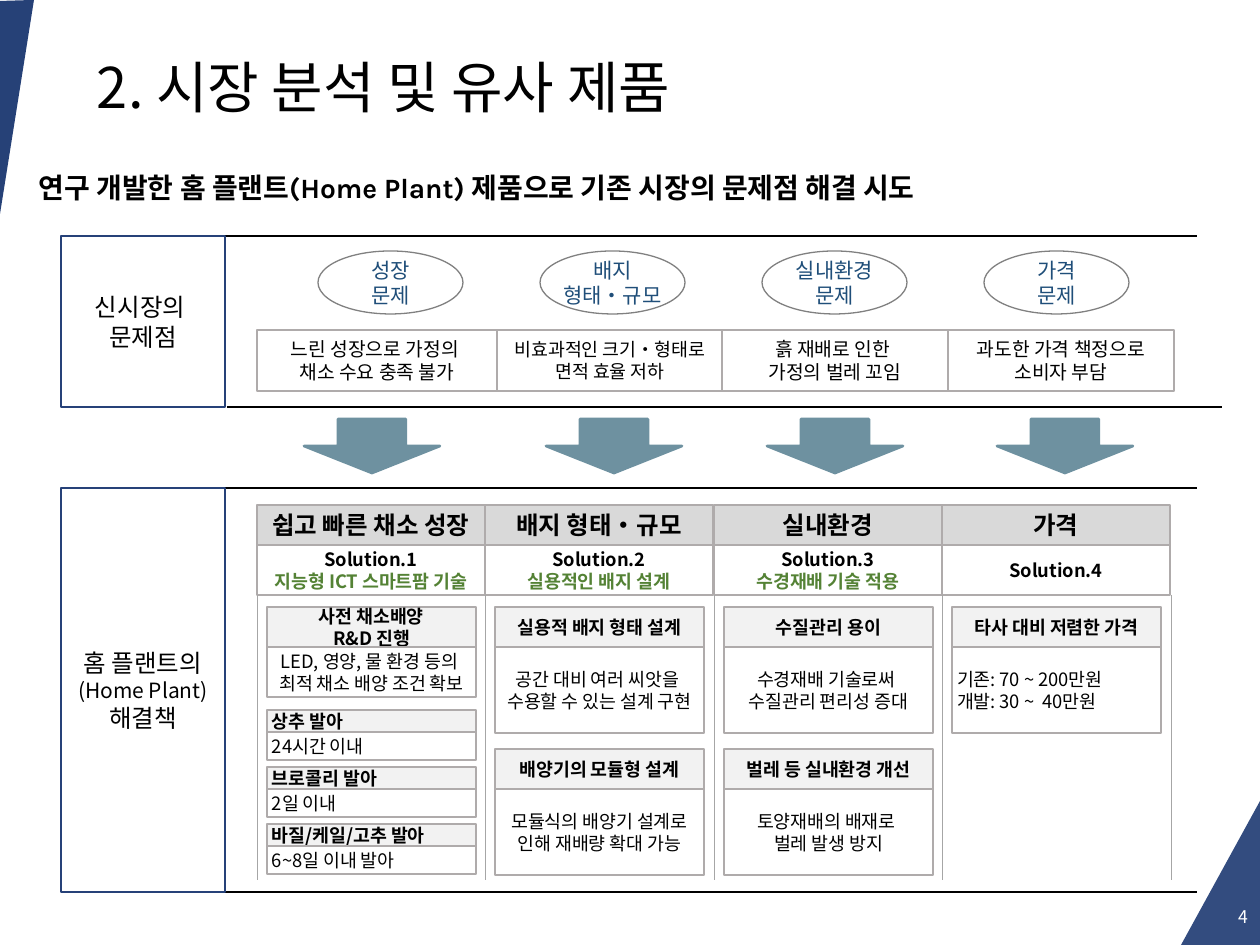
from lxml import etree
from pptx import Presentation, util as u
from pptx.dml.color import RGBColor
from pptx.enum import shapes, text
from pptx.oxml.ns import qn

EMU_PER_PX = 914400 / 126
FONT = "Noto Sans CJK KR"
LINE_HEIGHT = 1.2

BLACK = RGBColor(0x00, 0x00, 0x00)
WHITE = RGBColor(0xFF, 0xFF, 0xFF)
NAVY = RGBColor(0x00, 0x20, 0x60)
FRAME = RGBColor(0x26, 0x41, 0x78)
BLUE = RGBColor(0x1F, 0x4E, 0x79)
GREEN = RGBColor(0x54, 0x82, 0x35)
TEAL = RGBColor(0x6E, 0x91, 0xA0)
GRAY = RGBColor(0x80, 0x80, 0x80)
BORDER = RGBColor(0xAF, 0xAB, 0xAB)
RULE = RGBColor(0xA6, 0xA6, 0xA6)
HEADER = RGBColor(0xD9, 0xD9, 0xD9)
CARD = RGBColor(0xF2, 0xF2, 0xF2)

LEFT = text.PP_ALIGN.LEFT
CENTER = text.PP_ALIGN.CENTER
RIGHT = text.PP_ALIGN.RIGHT
TOP = text.MSO_ANCHOR.TOP
MIDDLE = text.MSO_ANCHOR.MIDDLE
RECT = shapes.MSO_SHAPE.RECTANGLE
OVAL = shapes.MSO_SHAPE.OVAL
DOWN_ARROW = shapes.MSO_SHAPE.DOWN_ARROW


def px(*lengths):
    return [u.Emu(round(length * EMU_PER_PX)) for length in lengths]


def write(shape, content, sizes=(10.5,), colors=(BLACK,), bold=False, align=CENTER,
          anchor=MIDDLE, inset=5, wrap=True, latin=FONT):
    """Fill a shape; sizes and colors go by paragraph, the last one repeating."""
    frame = shape.text_frame
    frame.word_wrap = wrap
    frame.vertical_anchor = anchor
    frame.margin_left, frame.margin_right = px(inset, inset)
    frame.margin_top, frame.margin_bottom = px(6, 6)
    frame.text = content
    for index, paragraph in enumerate(frame.paragraphs):
        size = sizes[min(index, len(sizes) - 1)]
        paragraph.alignment = align
        paragraph.line_spacing = u.Pt(round(size * LINE_HEIGHT, 1))
        for run in paragraph.runs:
            run.font.size = u.Pt(size)
            run.font.bold = bold
            run.font.name = latin
            run.font.color.rgb = colors[min(index, len(colors) - 1)]
            east_asian = etree.SubElement(run.font._element, qn("a:ea"))
            east_asian.set("typeface", FONT)


class Board:
    """The slide being drawn, with its house style."""

    def __init__(self, slide):
        self.slide = slide

    def label(self, left, top, width, height, content, **style):
        box = self.slide.shapes.add_textbox(*px(left, top, width, height))
        write(box, content, **style)

    def shape(self, kind, left, top, width, height, fill=WHITE, line=BORDER, weight=1,
              content="", **style):
        shape = self.slide.shapes.add_shape(kind, *px(left, top, width, height))
        shape.shadow.inherit = False
        shape.fill.solid()
        shape.fill.fore_color.rgb = fill
        shape.line.color.rgb = line
        shape.line.width = u.Pt(weight)
        if content:
            write(shape, content, **style)

    def line(self, x1, y1, x2, y2, color=BLACK, weight=1):
        line = self.slide.shapes.add_connector(
            shapes.MSO_CONNECTOR.STRAIGHT, *px(x1, y1, x2, y2))
        line.line.color.rgb = color
        line.line.width = u.Pt(weight)
        etree.SubElement(line._element.spPr, qn("a:effectLst"))

    def corner(self, points, opacity):
        """Draw a translucent navy polygon."""
        builder = self.slide.shapes.build_freeform(*points[0], scale=EMU_PER_PX)
        builder.add_line_segments(points[1:], close=True)
        shape = builder.convert_to_shape()
        shape.shadow.inherit = False
        shape.fill.solid()
        shape.fill.fore_color.rgb = NAVY
        shape.line.fill.background()
        color = shape._element.spPr.find(f"{qn('a:solidFill')}/{qn('a:srgbClr')}")
        etree.SubElement(color, qn("a:alpha")).set("val", str(opacity * 1000))

    def card(self, column, top, head_height, body_height, head, body,
             head_align=CENTER, body_align=CENTER):
        left = column_left(column) + 10
        self.shape(RECT, left, top, 209, head_height, fill=CARD, content=head,
                   bold=True, align=head_align)
        self.shape(RECT, left, top + head_height, 209, body_height, content=body,
                   align=body_align)


def column_left(column):
    return 257 + column * 457 // 2


PROBLEMS = [
    # topic, description, size, box left, box width, arrow left
    ("성장\n문제", "느린 성장으로 가정의 \v채소 수요 충족 불가", 11, 257, 240, 304),
    ("배지\n형태‧규모", "비효과적인 크기‧형태로 면적 효율 저하", 10.5, 497, 226, 546),
    ("실내환경\n문제", "흙 재배로 인한 \v가정의 벌레 꼬임", 11, 722, 226, 767),
    ("가격\n문제", "과도한 가격 책정으로 소비자 부담", 11, 948, 226, 997),
]

SOLUTIONS = [
    ("쉽고 빠른 채소 성장", "Solution.1\n지능형 ICT 스마트팜 기술"),
    ("배지 형태‧규모", "Solution.2\n실용적인 배지 설계"),
    ("실내환경", "Solution.3\n수경재배 기술 적용"),
    ("가격", "Solution.4"),
]

GERMINATION = [
    ("상추 발아", "24시간 이내"),
    ("브로콜리 발아", "2일 이내"),
    ("바질/케일/고추 발아", "6~8일 이내 발아"),
]

LARGE_CARDS = [
    # column, top, head, body, body alignment
    (1, 607, "실용적 배지 형태 설계", "공간 대비 여러 씨앗을 \v수용할 수 있는 설계 구현", CENTER),
    (1, 749, "배양기의 모듈형 설계", "모듈식의 배양기 설계로 인해 재배량 확대 가능", CENTER),
    (2, 607, "수질관리 용이", "수경재배 기술로써 \v수질관리 편리성 증대", CENTER),
    (2, 749, "벌레 등 실내환경 개선", "토양재배의 배재로 \n벌레 발생 방지", CENTER),
    (3, 607, "타사 대비 저렴한 가격", "기존: 70 ~ 200만원\n개발: 30 ~  40만원", LEFT),
]


def draw_frame(board):
    board.corner([(0, 1), (34, 0), (0, 214)], 85)
    board.corner([(1181, 945), (1260, 801), (1260, 945)], 80)
    for left, top in [(202, 236), (227, 407), (202, 488), (202, 892)]:
        board.line(left, top, left + 995, top)
    board.label(84, 47, 1158, 92, "2. 시장 분석 및 유사 제품", sizes=(32,),
                align=LEFT, anchor=TOP, inset=13)
    board.label(26, 165, 1194, 47,
                "연구 개발한 홈 플랜트(Home Plant) 제품으로 기존 시장의 문제점 해결 시도",
                sizes=(16,), bold=True, align=LEFT, anchor=TOP, inset=13, latin="Karla")
    board.label(1191, 892, 70, 50, "4", sizes=(10,), colors=(WHITE,), align=RIGHT,
                inset=13)
    board.shape(RECT, 61, 236, 164, 171, line=FRAME, content="신시장의 \v문제점",
                sizes=(14,))
    board.shape(RECT, 61, 488, 164, 404, line=FRAME,
                content="홈 플랜트의\n(Home Plant)\n해결책", sizes=(14, 12, 14))


def draw_problems(board):
    for column, (topic, problem, size, left, width, arrow_left) in enumerate(PROBLEMS):
        board.shape(OVAL, 318 + column * 222, 251, 145, 63, line=GRAY, weight=0.75,
                    content=topic, sizes=(12,), colors=(BLUE,), wrap=False)
        board.shape(RECT, left, 330, width, 61, content=problem, sizes=(size,))
        board.shape(DOWN_ARROW, arrow_left, 419, 136, 54, fill=TEAL, line=TEAL,
                    weight=1.5)


def draw_solutions(board):
    for column, (heading, solution) in enumerate(SOLUTIONS):
        left = column_left(column)
        board.shape(RECT, left, 505, 228, 40, fill=HEADER, content=heading,
                    sizes=(14,), bold=True)
        board.shape(RECT, left, 545, 228, 50, content=solution,
                    colors=(BLACK, GREEN), bold=True)
    board.card(0, 607, 40, 50, "사전 채소배양\vR&D 진행",
               "LED, 영양, 물 환경 등의 \v최적 채소 배양 조건 확보")
    for row, (crop, period) in enumerate(GERMINATION):
        board.card(0, 710 + row * 57, 22, 28, crop, period, LEFT, LEFT)
    for column, top, head, body, align in LARGE_CARDS:
        board.card(column, top, 40, 86, head, body, body_align=align)
    for column in range(len(SOLUTIONS) + 1):
        left = column_left(column)
        board.line(left, 595, left, 880, color=RULE, weight=0.5)


def main():
    presentation = Presentation()
    presentation.slide_width, presentation.slide_height = px(1260, 945)
    board = Board(presentation.slides.add_slide(presentation.slide_layouts[6]))
    draw_frame(board)
    draw_problems(board)
    draw_solutions(board)
    presentation.save("out.pptx")


if __name__ == "__main__":
    main()
